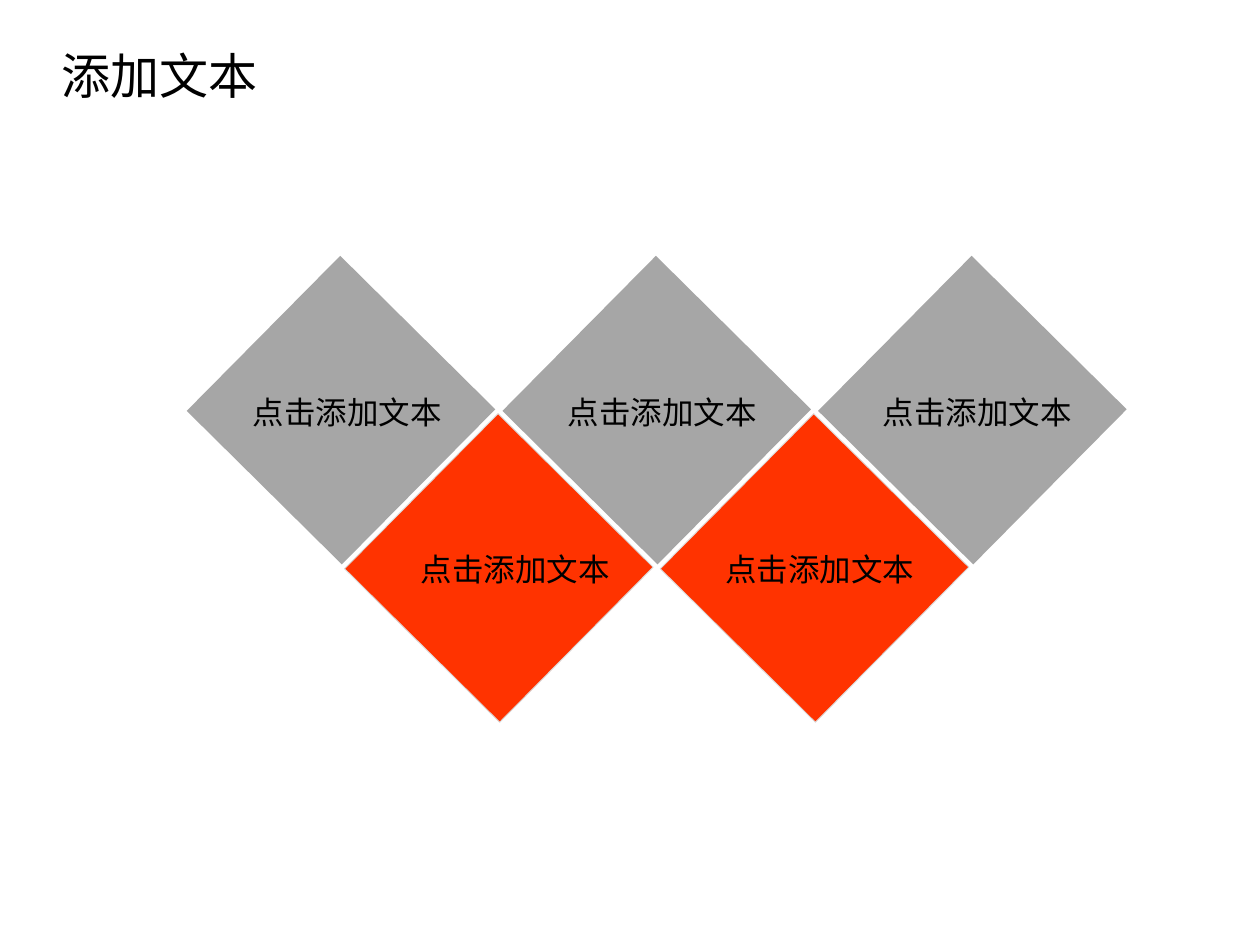
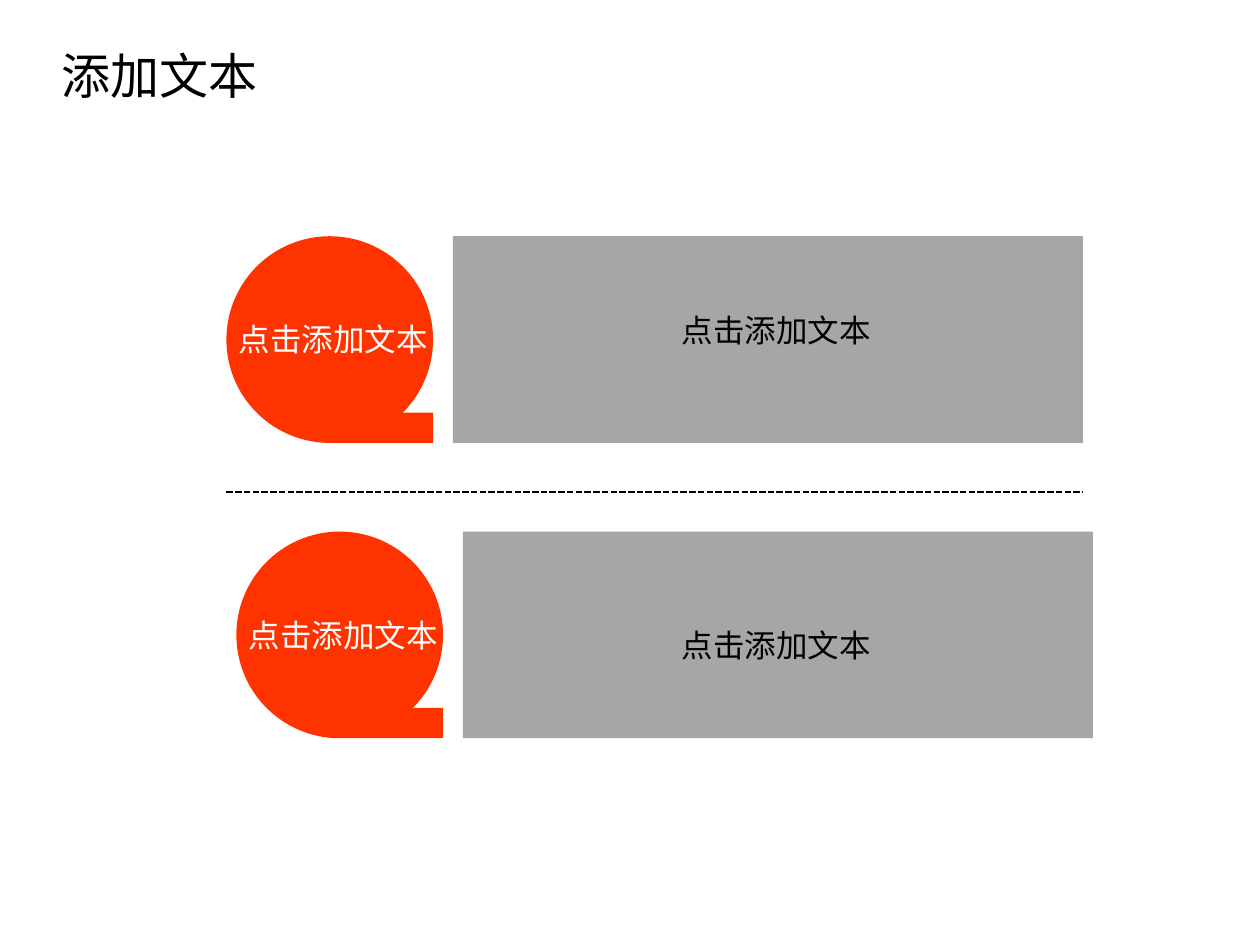
from pptx import Presentation
from pptx.dml.color import RGBColor
from pptx.enum.dml import MSO_LINE
from pptx.enum.shapes import MSO_CONNECTOR, MSO_SHAPE
from pptx.enum.text import MSO_AUTO_SIZE
from pptx.oxml.ns import qn
from pptx.util import Pt
from lxml.etree import SubElement

BLACK = RGBColor(0x00, 0x00, 0x00)
WHITE = RGBColor(0xFF, 0xFF, 0xFF)
GRAY = RGBColor(0xA6, 0xA6, 0xA6)
LIGHT_GRAY = RGBColor(0xD9, 0xD9, 0xD9)
RED = RGBColor(0xFF, 0x33, 0x00)
FONT = "Noto Sans CJK SC"
TITLE = "添加文本"
LABEL = "点击添加文本"


def add_text(page, text, left, top, width, height, size, color):
    box = page.shapes.add_textbox(Pt(left), Pt(top), Pt(width), Pt(height))
    frame = box.text_frame
    frame.word_wrap = False
    frame.auto_size = MSO_AUTO_SIZE.SHAPE_TO_FIT_TEXT
    frame.text = text
    font = frame.paragraphs[0].runs[0].font
    font.size = Pt(size)
    font.name = FONT
    font.color.rgb = color
    SubElement(font._element, qn("a:ea")).set("typeface", FONT)


def add_block(page, kind, left, top, width, height, color):
    block = page.shapes.add_shape(kind, Pt(left), Pt(top), Pt(width), Pt(height))
    block.shadow.inherit = False
    block.fill.solid()
    block.fill.fore_color.rgb = color
    block.line.fill.background()
    return block


deck = Presentation()
deck.slide_width = Pt(720)
deck.slide_height = Pt(540)
pages = [deck.slides.add_slide(deck.slide_layouts[6]) for _ in range(2)]
for page in pages:
    add_text(page, TITLE, 28, 22.5, 127.5, 41, 28, BLACK)
diamond_page, tape_page = pages

SIDE = 124.7
STEP = 90.2
label_lefts = [137.5, 233.5, 317.5, 407.5, 497.5]
for index, label_left in enumerate(label_lefts):
    lower = index % 2
    diamond = add_block(diamond_page, MSO_SHAPE.RECTANGLE, 132.5 + index * STEP,
                        172 + lower * STEP, SIDE, SIDE, RED if lower else GRAY)
    diamond.rotation = 44.7
    if lower:
        diamond.line.color.rgb = LIGHT_GRAY
        diamond.line.width = Pt(0.5)
for index, label_left in enumerate(label_lefts):
    add_text(diamond_page, LABEL, label_left, 221 + index % 2 * 90, 124, 29, 18, BLACK)

TAPE_SIZE = 118.1
for left, top, panel_label_top in [(129.4, 135, 174.3), (135.1, 303.8, 354.3)]:
    add_block(tape_page, MSO_SHAPE.RECTANGLE, left + 129.4, top, 360, TAPE_SIZE, GRAY)
    add_block(tape_page, MSO_SHAPE.FLOWCHART_SEQUENTIAL_ACCESS_STORAGE,
              left, top, TAPE_SIZE, TAPE_SIZE, RED)
    add_text(tape_page, LABEL, left, top + 44.5, 124, 29, 18, WHITE)
    add_text(tape_page, LABEL, 382.5, panel_label_top, 124, 29, 18, BLACK)

divider = tape_page.shapes.add_connector(
    MSO_CONNECTOR.STRAIGHT, Pt(129.4), Pt(281.3), Pt(618.8), Pt(281.3))
divider.line.color.rgb = BLACK
divider.line.width = Pt(1.25)
divider.line.dash_style = MSO_LINE.SQUARE_DOT
SubElement(divider._element.spPr, qn("a:effectLst"))

deck.save("out.pptx")
